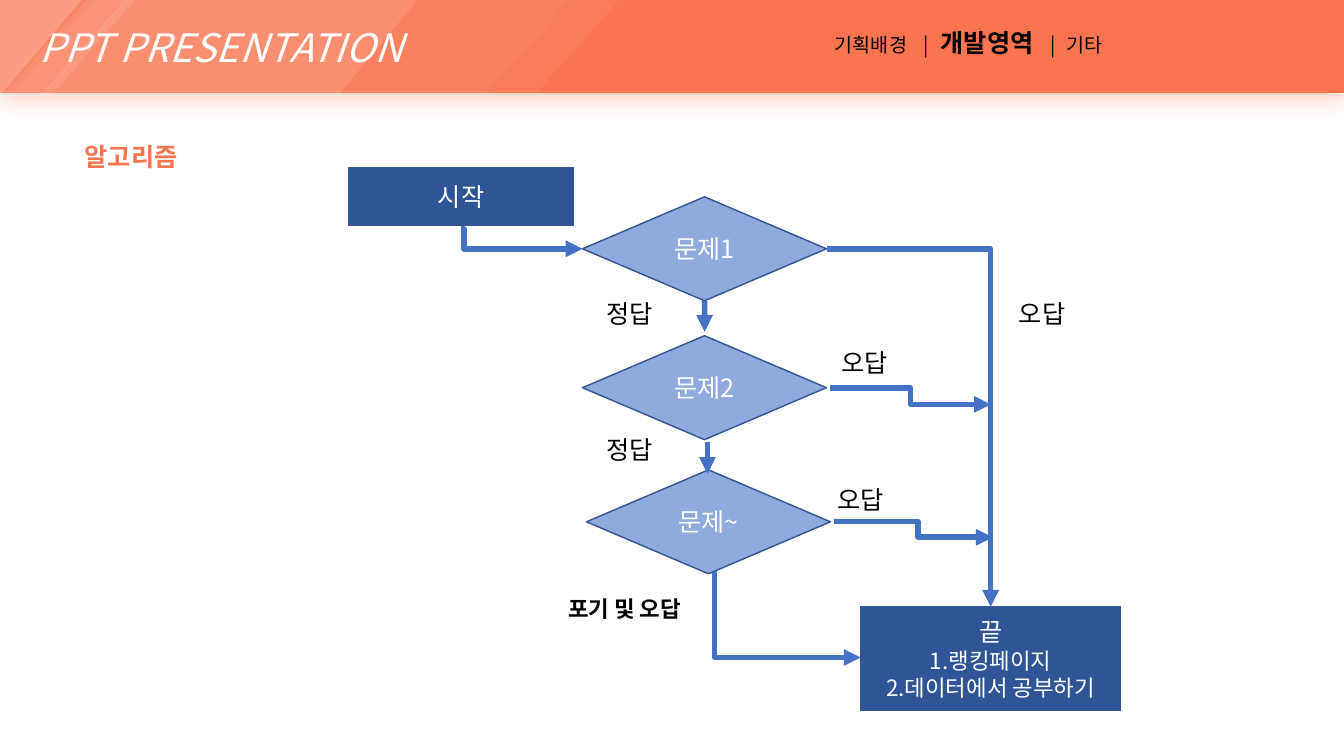
from lxml import etree
from pptx import Presentation
from pptx import util as u
from pptx.dml import color
from pptx.enum import shapes, text
from pptx.oxml import ns

FONT = "Noto Sans CJK KR"
CORAL, WHITE, BLACK = "FA7450", "FFFFFF", "000000"
NAVY, SKY, OUTLINE, ARROW = "2F5597", "8FAADC", "325491", "4472C4"
KIND = shapes.MSO_SHAPE
LEFT, CENTER = text.PP_ALIGN.LEFT, text.PP_ALIGN.CENTER


def paint(target, hex_color):
    """Give a fill, or a font's colour, a hex colour."""
    if hasattr(target, "solid"):
        target.solid()
        target = target.fore_color
        target.rgb = color.RGBColor.from_string(hex_color)
    else:
        target.color.rgb = color.RGBColor.from_string(hex_color)


def child(parent, tag, **attributes):
    """Append a DrawingML element and return it."""
    element = etree.SubElement(parent, ns.qn(tag))
    for name, value in attributes.items():
        element.set(name, str(value))
    return element


def place(box, left, top, width, height):
    """Return lengths for a part measured from a box's corner."""
    return [u.Cm(value) for value in (box[0] + left, box[1] + top, width, height)]


def add_run(paragraph, words, size, hex_color, bold=False, italic=False):
    """Append one formatted run."""
    run = paragraph.add_run()
    run.text = words
    font = run.font
    font.size, font.bold, font.italic = u.Pt(size), bold, italic
    paint(font, hex_color)
    font.name = FONT
    child(font._element, "a:ea", typeface=FONT)


def add_block(slide, kind, bounds, fill, outline=None):
    """Add a preset shape without shadow."""
    shape = slide.shapes.add_shape(kind, *bounds)
    shape.shadow.inherit = False
    paint(shape.fill, fill)
    if outline:
        paint(shape.line.fill, outline)
        shape.line.width = u.Pt(1)
    else:
        shape.line.fill.background()
    return shape


def add_banner(slide, box):
    """Draw the coral banner with its translucent stripes."""
    banner = add_block(slide, KIND.RECTANGLE, place(box, 0, 0, *box[2:]), CORAL)
    effects = banner._element.spPr.find(ns.qn("a:effectLst"))
    shadow = child(effects, "a:outerShdw", blurRad=u.Pt(17), dist=u.Pt(3), dir=5400000, rotWithShape=0)
    child(child(shadow, "a:srgbClr", val=CORAL), "a:alpha", val=40000)
    frame = banner.text_frame
    frame.margin_left = u.Cm(0.99)
    frame.vertical_anchor = text.MSO_ANCHOR.MIDDLE
    frame.paragraphs[0].alignment = LEFT
    add_run(frame.paragraphs[0], "PPT PRESENTATION", 28, WHITE, italic=True)

    stripes = [
        (KIND.FLOWCHART_MANUAL_INPUT, (4.04, -4.17, 2.54, 10.64), 10, "flipH"),
        (KIND.PARALLELOGRAM, (0, -0.1, 15.7, 2.57), 5, None),
        (KIND.PARALLELOGRAM, (0, -0.08, 14.43, 2.49), 5, None),
        (KIND.RIGHT_TRIANGLE, (0, -0.08, 2.13, 2.49), 22, "flipV"),
        (KIND.PARALLELOGRAM, (0.25, -0.08, 3.05, 2.49), 5, None),
        (KIND.PARALLELOGRAM, (1.02, -0.08, 2.46, 2.49), 10, None),
    ]
    for kind, bounds, opacity, flip in stripes:
        stripe = add_block(slide, kind, place(box, *bounds), WHITE)
        properties = stripe._element.spPr
        tint = properties.find(ns.qn("a:solidFill")).find(ns.qn("a:srgbClr"))
        child(tint, "a:alpha", val=opacity * 1000)
        if kind == KIND.PARALLELOGRAM:
            stripe.adjustments[0] = 0.893
        if kind == KIND.FLOWCHART_MANUAL_INPUT:
            stripe.rotation = 90
        if flip:
            properties.get_or_add_xfrm().set(flip, "1")


def add_navigation(slide, box):
    """Write the section names, spaced by tab stops."""
    frame = slide.shapes.add_textbox(*place(box, 0, 0, *box[2:])).text_frame
    frame.word_wrap = True
    frame.margin_left = u.Cm(3.84)
    paragraph = frame.paragraphs[0]
    stops = child(paragraph._p.get_or_add_pPr(), "a:tabLst")
    for position, side in ((2.29, "ctr"), (2.67, "l"), (5.49, "ctr"), (5.84, "l")):
        child(stops, "a:tab", pos=u.Cm(position), algn=side)
    add_run(paragraph, "기획배경\t|\t", 14, BLACK)
    add_run(paragraph, "개발영역", 18, BLACK, bold=True)
    add_run(paragraph, "\t|\t기타", 14, BLACK)


def add_heading(slide, box):
    """Place and format the slide title."""
    title = slide.shapes.title
    title.left, title.top, title.width, title.height = place(box, 0, 0, *box[2:])
    frame = title.text_frame
    frame.word_wrap = True
    frame.auto_size = text.MSO_AUTO_SIZE.NONE
    frame.vertical_anchor = text.MSO_ANCHOR.TOP
    paragraph = frame.paragraphs[0]
    paragraph.alignment = CENTER
    paragraph.line_spacing = 1.5
    paragraph.space_before = u.Pt(0)
    add_run(paragraph, "알고리즘", 18, CORAL, bold=True)


def add_node(slide, kind, bounds, fill, lines):
    """Add a flowchart step holding lines of (words, size)."""
    node = add_block(slide, kind, bounds, fill, OUTLINE)
    frame = node.text_frame
    frame.vertical_anchor = text.MSO_ANCHOR.MIDDLE
    for index, (words, size) in enumerate(lines):
        paragraph = frame.add_paragraph() if index else frame.paragraphs[0]
        paragraph.alignment = CENTER
        add_run(paragraph, words, size, WHITE)
    return node


def add_arrow(slide, box, start, finish, bend=None, corner=False, arrow_end="a:tailEnd"):
    """Add a straight, stepped or single-corner arrow."""
    stepped = corner or bend is not None
    kind = shapes.MSO_CONNECTOR.ELBOW if stepped else shapes.MSO_CONNECTOR.STRAIGHT
    ends = place(box, *start, 0, 0)[:2] + place(box, *finish, 0, 0)[:2]
    arrow = slide.shapes.add_connector(kind, *ends)
    paint(arrow.line.fill, ARROW)
    arrow.line.width = u.Pt(4)
    properties = arrow._element.spPr
    child(properties.find(ns.qn("a:ln")), arrow_end, type="triangle")
    child(properties, "a:effectLst")
    geometry = properties.find(ns.qn("a:prstGeom"))
    if corner:
        geometry.set("prst", "bentConnector2")
    elif stepped:
        guides = geometry.find(ns.qn("a:avLst"))
        child(guides, "a:gd", name="adj1", fmla=f"val {round(bend * 100000)}")
    return arrow


def add_flowchart(slide, box):
    """Draw the quiz flow from start to end."""
    add_arrow(slide, box, (12.9, 12.35), (9.22, 9.19), corner=True, arrow_end="a:headEnd")
    add_node(slide, KIND.RECTANGLE, place(box, 0, 0, 5.66, 1.45), NAVY, [("시작", 18)])
    end_lines = [("끝", 18), ("1.랭킹페이지", 16), ("2.데이터에서 공부하기", 16)]
    end = add_node(slide, KIND.RECTANGLE, place(box, 12.9, 11.07, 6.55, 2.62), NAVY, end_lines)
    questions = [
        add_node(slide, KIND.FLOWCHART_DECISION, place(box, left, top, 6.15, 2.62), SKY, [(words, 18)])
        for words, left, top in (("문제1", 5.89, 0.74), ("문제2", 5.89, 4.24), ("문제~", 5.99, 7.62))
    ]

    correct = add_arrow(slide, box, (8.97, 3.36), (8.97, 4.14))
    correct.begin_connect(questions[0], 2)
    add_arrow(slide, box, (9.04, 6.93), (9.04, 7.72))
    wrong = add_arrow(slide, box, (12.04, 2.05), (16.18, 11.07), corner=True)
    wrong.begin_connect(questions[0], 3)
    wrong.end_connect(end, 0)
    add_arrow(slide, box, (2.84, 1.55), (5.89, 2.05), bend=0.02)
    add_arrow(slide, box, (12.14, 5.56), (16.18, 5.97), bend=0.5)
    add_arrow(slide, box, (12.22, 8.92), (16.23, 9.32), bend=0.53)

    labels = [
        ("정답", 6.25, 3.17, 1.8), ("정답", 6.25, 6.6, 1.8),
        ("오답", 16.64, 3.17, 2.06), ("오답", 12.17, 4.42, 2.06),
        ("오답", 12.07, 7.85, 2.06), ("포기 및 오답", 5.28, 10.64, 3.99),
    ]
    for words, left, top, width in labels:
        frame = slide.shapes.add_textbox(*place(box, left, top, width, 0.94)).text_frame
        frame.word_wrap = True
        give_up = words.startswith("포기")
        add_run(frame.paragraphs[0], words, 16 if give_up else 18, BLACK, bold=give_up)


def main():
    """Build and save the slide."""
    presentation = Presentation()
    presentation.slide_width, presentation.slide_height = u.Cm(33.87), u.Cm(19.05)
    slide = presentation.slides.add_slide(presentation.slide_layouts[5])
    add_banner(slide, (0, 0, 33.87, 2.34))
    add_navigation(slide, (17.2, 0.56, 11.05, 1.02))
    add_heading(slide, (-0.58, 3.05, 7.77, 1.27))
    add_flowchart(slide, (8.79, 4.22, 19.45, 13.69))
    presentation.save("out.pptx")


if __name__ == "__main__":
    main()
